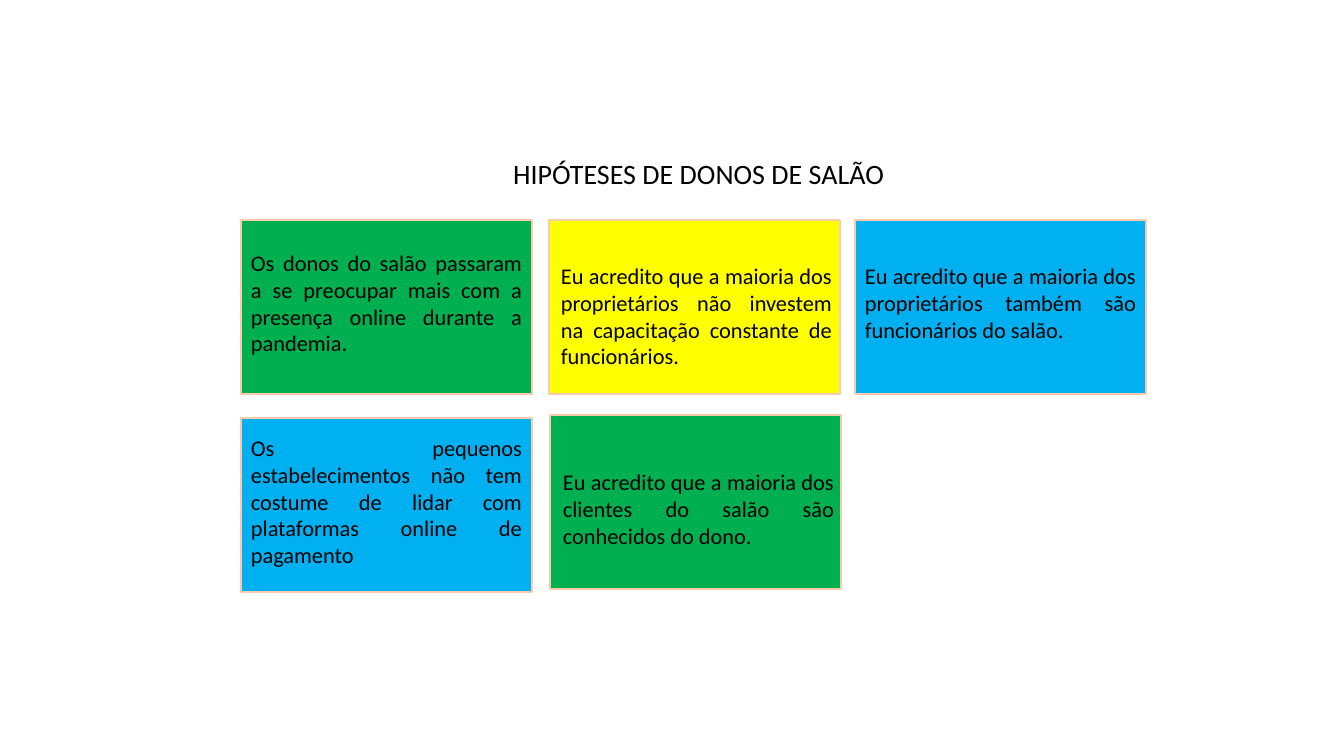
from dataclasses import dataclass

from pptx import Presentation
from pptx.dml.color import RGBColor
from pptx.enum.shapes import MSO_SHAPE
from pptx.enum.text import MSO_ANCHOR, MSO_AUTO_SIZE, PP_ALIGN
from pptx.slide import Slide
from pptx.text.text import TextFrame
from pptx.util import Emu, Pt

# Lengths are pixels, 100.8 to the inch
EMU_PER_PIXEL = 914400 / 100.8
SLIDE_WIDTH, SLIDE_HEIGHT = 1344, 756
CARD_WIDTH, CARD_HEIGHT = 291, 174

FONT = "Calibri"
BLACK = RGBColor(0x00, 0x00, 0x00)
GREEN = RGBColor(0x00, 0xB0, 0x50)
YELLOW = RGBColor(0xFF, 0xFF, 0x00)
BLUE = RGBColor(0x00, 0xB0, 0xF0)
PEACH = RGBColor(0xF8, 0xCB, 0xAD)


@dataclass(frozen=True)
class HypothesisCard:
    left: int
    top: int
    fill: RGBColor
    text_left: int
    text_top: int
    text_height: int
    text: str


CARDS = [
    HypothesisCard(241, 220, GREEN, 241, 244, 119,
                   "Os donos do salão passaram a se preocupar mais com a "
                   "presença online durante a pandemia."),
    HypothesisCard(549, 220, YELLOW, 551, 257, 119,
                   "Eu acredito que a maioria dos proprietários não investem "
                   "na capacitação constante de funcionários."),
    HypothesisCard(855, 220, BLUE, 855, 257, 92,
                   "Eu acredito que a maioria dos proprietários também são "
                   "funcionários do salão."),
    HypothesisCard(241, 418, BLUE, 241, 429, 146,
                   "Os pequenos estabelecimentos não tem costume de lidar com "
                   "plataformas online de pagamento"),
    HypothesisCard(550, 415, GREEN, 553, 463, 92,
                   "Eu acredito que a maioria dos clientes do salão são "
                   "conhecidos do dono."),
]


def px(pixels: int) -> Emu:
    return Emu(round(pixels * EMU_PER_PIXEL))


def write_text(frame: TextFrame, text: str, *, size: int,
               align: PP_ALIGN, wrap: bool = True) -> None:
    frame.auto_size = MSO_AUTO_SIZE.NONE
    frame.word_wrap = wrap
    frame.vertical_anchor = MSO_ANCHOR.TOP
    paragraph = frame.paragraphs[0]
    paragraph.alignment = align
    run = paragraph.add_run()
    run.text = text
    run.font.name = FONT
    run.font.size = Pt(size)
    run.font.color.rgb = BLACK


def draw_card(slide: Slide, card: HypothesisCard) -> None:
    box = slide.shapes.add_shape(MSO_SHAPE.RECTANGLE, px(card.left), px(card.top),
                                 px(CARD_WIDTH), px(CARD_HEIGHT))
    box.shadow.inherit = False
    box.fill.solid()
    box.fill.fore_color.rgb = card.fill
    box.line.color.rgb = PEACH
    box.line.width = Pt(1)
    label = slide.shapes.add_textbox(px(card.text_left), px(card.text_top),
                                     px(CARD_WIDTH), px(card.text_height))
    write_text(label.text_frame, card.text, size=16, align=PP_ALIGN.JUSTIFY)


presentation = Presentation()
presentation.slide_width = px(SLIDE_WIDTH)
presentation.slide_height = px(SLIDE_HEIGHT)
slide = presentation.slides.add_slide(presentation.slide_layouts.get_by_name("Title Only"))

# Title
title = slide.shapes.title
title.left, title.top, title.width, title.height = px(503), px(151), px(393), px(44)
write_text(title.text_frame, "HIPÓTESES DE DONOS DE SALÃO", size=20,
           align=PP_ALIGN.LEFT, wrap=False)

# Hypothesis cards
for card in CARDS:
    draw_card(slide, card)

presentation.save("out.pptx")
